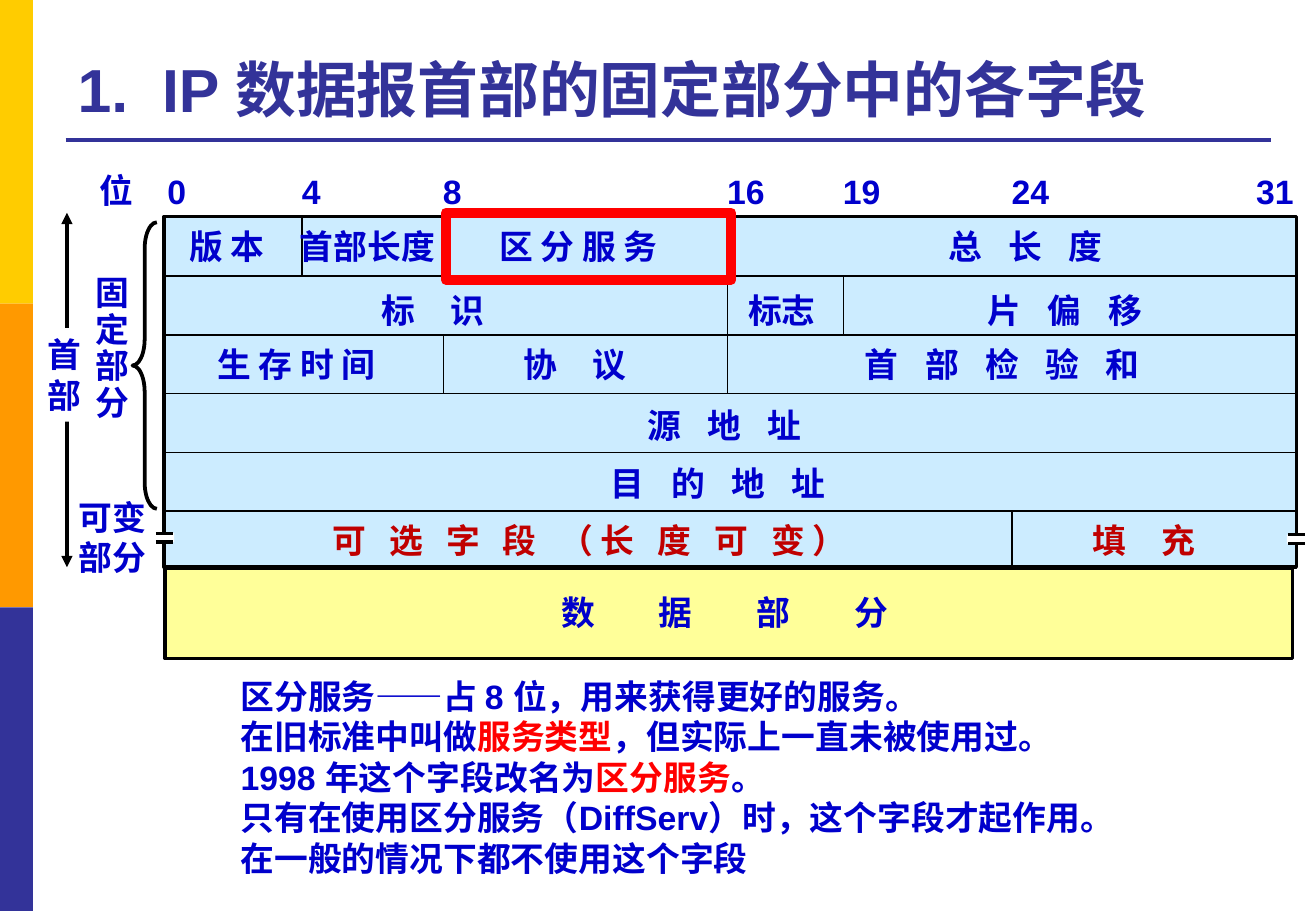
from lxml.etree import SubElement
from pptx import Presentation
from pptx.dml.color import RGBColor
from pptx.enum.shapes import MSO_CONNECTOR, MSO_SHAPE
from pptx.enum.text import MSO_ANCHOR, MSO_AUTO_SIZE, PP_ALIGN
from pptx.oxml.ns import qn
from pptx.util import Cm, Pt

BLUE, DARK_RED, RED = "0000CC", "C00000", "FF0000"
BLACK, WHITE, INDIGO = "000000", "FFFFFF", "333399"
LABEL_H = 1.09

# Left edge of the header table, row lines and the x of each bit boundary
TABLE_LEFT, TABLE_TOP, TABLE_BOTTOM = 3.43, 4.53, 11.86
ROW_LINES = [5.77 + 1.23 * i for i in range(5)]
BIT_X = {4: 6.32, 8: 9.27, 16: 15.21, 19: 17.63, 24: 21.16}
LABEL_Y = [4.6, 5.94, 7.06, 8.33, 9.55, 10.74]

# row, left, width, text, letter spacing, colour
FIELDS = [
    (0, 3.71, 2.13, "版 本", 0, BLUE),
    (0, 6.02, 3.35, "首部长度", 0, BLUE),
    (0, 10.19, 3.96, "区 分 服 务", 0, BLUE),
    (0, 19.58, 3.84, "总 长 度", 5.56, BLUE),
    (1, 7.72, 2.72, "标 识", 8.34, BLUE),
    (1, 15.39, 1.93, "标志", 0, BLUE),
    (1, 20.4, 3.84, "片 偏 移", 5.56, BLUE),
    (2, 4.29, 3.96, "生 存 时 间", 0, BLUE),
    (2, 10.69, 2.72, "协 议", 8.34, BLUE),
    (2, 17.83, 6.45, "首 部 检 验 和", 5.56, BLUE),
    (3, 13.28, 3.84, "源 地 址", 5.56, BLUE),
    (4, 12.52, 5.13, "目 的 地 址", 5.56, BLUE),
    (5, 6.71, 11.58, "可 选 字 段 （长 度 可 变）", 4.5, DARK_RED),
    (5, 22.58, 2.72, "填 充", 8.34, DARK_RED),
]

NOTES = [
    "区分服务——占 8 位，用来获得更好的服务。",
    [("在旧标准中叫做", BLUE), ("服务类型", RED), ("，但实际上一直未被使用过。", BLUE)],
    [("1998 年这个字段改名为", BLUE), ("区分服务", RED), ("。", BLUE)],
    "只有在使用区分服务（DiffServ）时，这个字段才起作用。",
    "在一般的情况下都不使用这个字段",
]


def rgb(hex_color):
    return RGBColor.from_string(hex_color)


def letter_spacing(run, points):
    run._r.get_or_add_rPr().set("spc", str(round(points * 100)))


class Deck:
    """Holds the text style and the current slide."""

    font, size = "Arial", 20

    def __init__(self, width, height):
        self.prs = Presentation()
        self.prs.slide_width, self.prs.slide_height = Cm(width), Cm(height)
        self.s = self.prs.slides.add_slide(self.prs.slide_layouts[5])

    def fill_text(self, tf, paragraphs, color=BLUE, size=None, spacing=0, line_spacing=None):
        """Fill a frame; a paragraph is a string or a list of (text, colour)."""
        for i, content in enumerate(paragraphs):
            p = tf.paragraphs[0] if i == 0 else tf.add_paragraph()
            p.alignment = PP_ALIGN.LEFT
            if line_spacing:
                p.line_spacing = line_spacing
            parts = [(content, color)] if isinstance(content, str) else content
            for text, part_color in parts:
                r = p.add_run()
                r.text = text
                r.font.name, r.font.bold = self.font, True
                r.font.size = Pt(size or self.size)
                r.font.color.rgb = rgb(part_color)
                if spacing:
                    letter_spacing(r, spacing)

    def title(self, x, y, w, h, parts):
        sp = self.s.shapes.title
        sp.left, sp.top, sp.width, sp.height = Cm(x), Cm(y), Cm(w), Cm(h)
        tf = sp.text_frame
        tf.auto_size, tf.vertical_anchor = MSO_AUTO_SIZE.NONE, MSO_ANCHOR.BOTTOM
        self.fill_text(tf, [[(text, INDIGO) for text in parts]], size=36)
        return sp

    def text(self, x, y, w, h, paragraphs, wrap=False, **style):
        tf = self.s.shapes.add_textbox(Cm(x), Cm(y), Cm(w), Cm(h)).text_frame
        tf.word_wrap = wrap
        self.fill_text(tf, paragraphs, **style)

    def shape(self, x, y, w, h, fill=None, line=None, weight=1, kind=MSO_SHAPE.RECTANGLE):
        sp = self.s.shapes.add_shape(kind, Cm(x), Cm(y), Cm(w), Cm(h))
        sp.shadow.inherit = False
        if fill:
            sp.fill.solid()
            sp.fill.fore_color.rgb = rgb(fill)
        else:
            sp.fill.background()
        if line:
            sp.line.color.rgb, sp.line.width = rgb(line), Pt(weight)
        else:
            sp.line.fill.background()
        return sp

    def line(self, x1, y1, x2, y2, color=BLACK, weight=1, arrows=False):
        c = self.s.shapes.add_connector(
            MSO_CONNECTOR.STRAIGHT, Cm(x1), Cm(y1), Cm(x2), Cm(y2))
        c.line.color.rgb, c.line.width = rgb(color), Pt(weight)
        if arrows:
            ln = c.line._get_or_add_ln()
            for end in ("a:headEnd", "a:tailEnd"):
                SubElement(ln, qn(end)).set("type", "triangle")
        SubElement(c._element.spPr, qn("a:effectLst"))

    def break_mark(self, x, y):
        """Two short bars that show a side of variable length."""
        self.shape(x, y, 0.41, 0.19, fill=WHITE)
        for bar_y in (y, y + 0.18):
            self.line(x + 0.03, bar_y, x + 0.38, bar_y, weight=2)


def main():
    deck = Deck(27.51, 19.05)
    for i, color in enumerate(("FFCC00", "FF9900", INDIGO)):
        deck.shape(0, 6.35 * i, 0.69, 6.35, fill=color)
    deck.line(1.37, 2.92, 26.57, 2.92, INDIGO, 2.25)
    title = deck.title(1.37, 0.53, 25.17, 2.21, ["1.", " ", "IP 数据报首部的固定部分中的各字段"])
    letter_spacing(title.text_frame.paragraphs[0].runs[1], 10)

    # Header table and data part
    deck.shape(TABLE_LEFT, TABLE_TOP, 23.67, TABLE_BOTTOM - TABLE_TOP, "CCECFF", BLACK, 2)
    deck.shape(3.45, 11.89, 23.57, 1.88, "FFFF99", BLACK, 2.25)
    for y in ROW_LINES:
        deck.line(3.4, y, 27.13, y)
    row_edges = [TABLE_TOP, *ROW_LINES, TABLE_BOTTOM]
    for bit, first, last in ((4, 0, 1), (8, 0, 1), (8, 2, 3), (16, 0, 3), (19, 1, 2), (24, 5, 6)):
        deck.line(BIT_X[bit], row_edges[first], BIT_X[bit], row_edges[last])

    # Bit numbers and field names
    deck.text(1.83, 3.43, 1.22, LABEL_H, ["位"])
    for bit, x in {0: 3.51, **BIT_X, 31: 26.27}.items():
        deck.text(x - 0.26, 3.45, 0.91 if bit < 10 else 1.3, LABEL_H, [str(bit)])
    for row, x, w, name, spacing, color in FIELDS:
        deck.text(x, LABEL_Y[row], w, LABEL_H, [name], color=color, spacing=spacing)
    deck.text(11.48, 12.24, 8.76, LABEL_H, ["数 据 部 分"], wrap=True, spacing=16.68)
    deck.break_mark(3.23, 11.15)
    deck.break_mark(26.9, 11.18)

    # Header extent on the left
    deck.line(1.4, 4.45, 1.4, 11.86, weight=2.25, arrows=True)
    deck.shape(0.74, 6.86, 1.22, 1.96, fill=WHITE)
    deck.text(0.74, 6.86, 1.22, 1.96, ["首", "部"])
    deck.text(1.75, 5.66, 1.22, 3.33, list("固定部分"), line_spacing=0.9)
    deck.text(1.4, 10.26, 1.93, 1.96, ["可变", "部分"])
    brace = deck.shape(2.77, 4.65, 0.51, 5.99, line=BLACK, weight=2.25, kind=MSO_SHAPE.LEFT_BRACE)
    brace.adjustments[0] = 1.08

    # Highlighted field and its explanation
    deck.text(4.78, 14, 19.63, 4.52, NOTES, wrap=True)
    deck.shape(9.32, 4.45, 5.97, 1.4, line=RED, weight=6)
    deck.prs.save("out.pptx")


if __name__ == "__main__":
    main()
